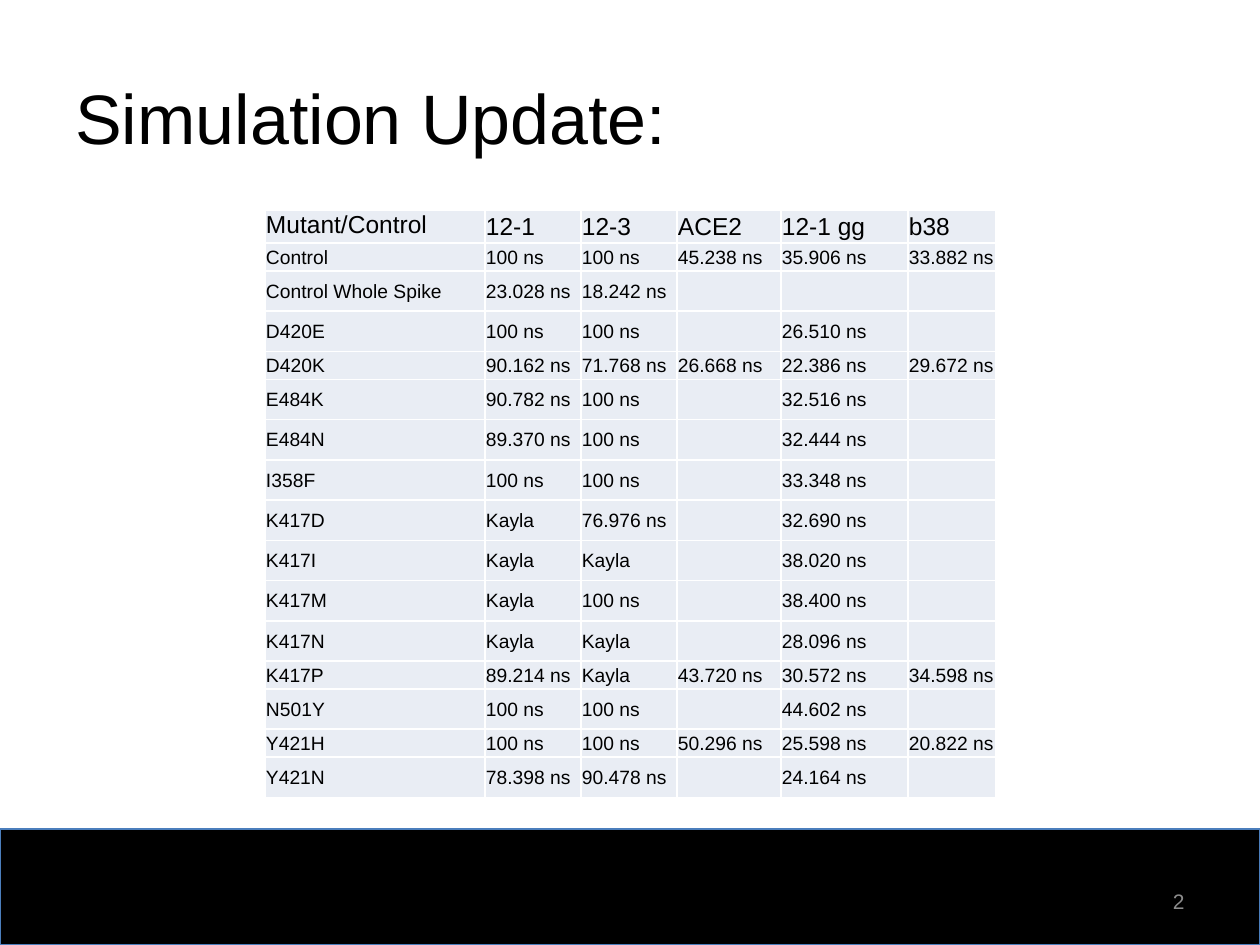
from dataclasses import dataclass

from lxml.etree import SubElement
from pptx import Presentation
from pptx.dml.color import RGBColor
from pptx.enum.shapes import MSO_SHAPE as Preset
from pptx.enum.text import MSO_ANCHOR as Anchor, PP_ALIGN as Align
from pptx.oxml.ns import qn
from pptx.util import Emu, Pt

PIXEL = 914400 // 126
FONT = "Arial"
COLORS = {"black": "000000", "white": "FFFFFF", "cell": "E9EDF4",
          "band_line": "4B7EBC", "number": "8C8C8C"}

COLUMN_WIDTHS = [220, 96, 96, 104, 127, 88]
HEADER_HEIGHT, FULL_HEIGHT, TABLE_HEIGHT = 33, 28, 588
TABLE_LEFT, TABLE_TOP = 265, 210

HEADER = ["Mutant/Control", "12-1", "12-3", "ACE2", "12-1 gg", "b38"]
RUNS = [
    ["Control", "100 ns", "100 ns", "45.238 ns", "35.906 ns", "33.882 ns"],
    ["Control Whole Spike", "23.028 ns", "18.242 ns", "", "", ""],
    ["D420E", "100 ns", "100 ns", "", "26.510 ns", ""],
    ["D420K", "90.162 ns", "71.768 ns", "26.668 ns", "22.386 ns", "29.672 ns"],
    ["E484K", "90.782 ns", "100 ns", "", "32.516 ns", ""],
    ["E484N", "89.370 ns", "100 ns", "", "32.444 ns", ""],
    ["I358F", "100 ns", "100 ns", "", "33.348 ns", ""],
    ["K417D", "Kayla", "76.976 ns", "", "32.690 ns", ""],
    ["K417I", "Kayla", "Kayla", "", "38.020 ns", ""],
    ["K417M", "Kayla", "100 ns", "", "38.400 ns", ""],
    ["K417N", "Kayla", "Kayla", "", "28.096 ns", ""],
    ["K417P", "89.214 ns", "Kayla", "43.720 ns", "30.572 ns", "34.598 ns"],
    ["N501Y", "100 ns", "100 ns", "", "44.602 ns", ""],
    ["Y421H", "100 ns", "100 ns", "50.296 ns", "25.598 ns", "20.822 ns"],
    ["Y421N", "78.398 ns", "90.478 ns", "", "24.164 ns", ""],
]


@dataclass
class Label:
    """A text box, with its place in pixels."""
    text: str
    left: int
    top: int
    width: int
    height: int
    size: int
    color: str
    align: Align


LABELS = [
    Label("2", 903, 876, 294, 50, 12, "number", Align.RIGHT),
    Label("Simulation Update:", 63, 38, 1134, 157, 40, "black", Align.LEFT),
]


def px(length: float) -> Emu:
    """Turn pixels into EMU."""
    return Emu(round(length * PIXEL))


def rgb(name: str) -> RGBColor:
    """Look up a named colour."""
    return RGBColor.from_string(COLORS[name])


def style_text(paragraph, size: int, color: str) -> None:
    """Set the font of a whole paragraph."""
    font = paragraph.font
    font.name, font.size = FONT, Pt(size)
    font.color.rgb = rgb(color)


def add_band(slide) -> None:
    """Draw the black footer band."""
    band = slide.shapes.add_shape(Preset.RECTANGLE, 0, px(829), px(1260), px(116))
    band.shadow.inherit = False
    band.fill.solid()
    band.fill.fore_color.rgb = rgb("black")
    band.line.color.rgb = rgb("band_line")
    band.line.width = Pt(0.75)


def add_label(slide, label: Label) -> None:
    """Draw a vertically centred text box."""
    box = slide.shapes.add_textbox(px(label.left), px(label.top),
                                   px(label.width), px(label.height))
    frame = box.text_frame
    frame.word_wrap = True
    frame.vertical_anchor = Anchor.MIDDLE
    paragraph = frame.paragraphs[0]
    paragraph.text = label.text
    paragraph.alignment = label.align
    style_text(paragraph, label.size, label.color)


def add_borders(cell) -> None:
    """Give a cell thin white borders on all sides."""
    properties = cell._tc.get_or_add_tcPr()
    for side in ("a:lnL", "a:lnR", "a:lnT", "a:lnB"):
        line = SubElement(properties, qn(side), w=str(Pt(1)))
        fill = SubElement(line, qn("a:solidFill"))
        SubElement(fill, qn("a:srgbClr"), val=COLORS["white"])


def fill_cell(cell, text: str, size: int) -> None:
    """Write and style one table cell."""
    add_borders(cell)
    cell.fill.solid()
    cell.fill.fore_color.rgb = rgb("cell")
    cell.margin_left = cell.margin_right = cell.margin_top = px(1)
    cell.margin_bottom = 0
    cell.vertical_anchor = Anchor.MIDDLE
    paragraph = cell.text_frame.paragraphs[0]
    paragraph.text = text
    style_text(paragraph, size, "black")


def add_run_table(slide) -> None:
    """Draw the table; rows with gaps share the height the others leave."""
    rows = [HEADER] + RUNS
    full_count = sum(all(run) for run in RUNS)
    gap_height = ((TABLE_HEIGHT - HEADER_HEIGHT - full_count * FULL_HEIGHT)
                  / (len(RUNS) - full_count))
    table = slide.shapes.add_table(
        len(rows), len(HEADER), px(TABLE_LEFT), px(TABLE_TOP),
        px(sum(COLUMN_WIDTHS)), px(TABLE_HEIGHT)).table
    table.first_row = table.horz_banding = False
    for column, width in zip(table.columns, COLUMN_WIDTHS):
        column.width = px(width)
    for index, texts in enumerate(rows):
        body_height = FULL_HEIGHT if all(texts) else gap_height
        table.rows[index].height = px(body_height if index else HEADER_HEIGHT)
        for cell, text in zip(table.rows[index].cells, texts):
            fill_cell(cell, text, 11 if index else 14)
    table.cell(0, 0).vertical_anchor = Anchor.TOP


def main() -> None:
    """Build and save the slide."""
    presentation = Presentation()
    presentation.slide_width, presentation.slide_height = px(1260), px(945)
    slide = presentation.slides.add_slide(presentation.slide_layouts[6])
    add_band(slide)
    add_run_table(slide)
    for label in LABELS:
        add_label(slide, label)
    presentation.save("out.pptx")


main()
